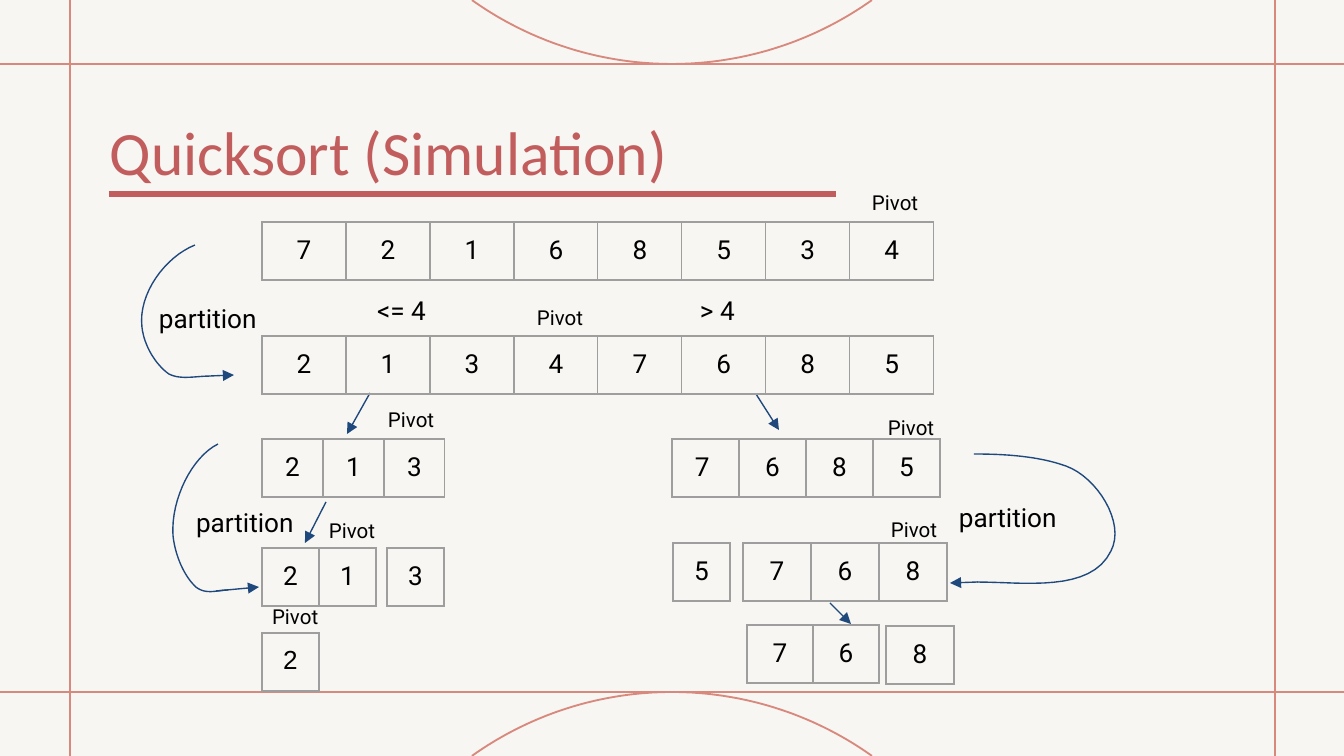
"""Build the quicksort simulation slide with its arrays, labels and arrows."""
from math import sqrt

from lxml import etree
from pptx import Presentation
from pptx.dml.color import RGBColor
from pptx.enum.shapes import MSO_CONNECTOR
from pptx.enum.text import MSO_ANCHOR, MSO_AUTO_SIZE, PP_ALIGN
from pptx.oxml.ns import qn
from pptx.util import Pt

PX = 6804
LEFT, CENTER = PP_ALIGN.LEFT, PP_ALIGN.CENTER
TOP, FIXED = MSO_ANCHOR.TOP, MSO_AUTO_SIZE.NONE
STRAIGHT = MSO_CONNECTOR.STRAIGHT
COLORS = {
    "paper": "F8F6F2",
    "frame": "D8897E",
    "title": "C25D5D",
    "grid": "9E9E9E",
    "arrow": "1F497D",
    "ink": "000000",
}
FRAME_FORMAT = {"word_wrap": True, "auto_size": FIXED, "vertical_anchor": TOP}
TABLE_FORMAT = {"first_row": False, "horz_banding": False}
SIDES = ("left", "right", "top", "bottom")


def write_text(frame, text, size, font="Roboto", color="ink", align=LEFT):
    para = frame.paragraphs[0]
    para.alignment = align
    span = para.add_run()
    span.text = text
    for name, value in {"size": Pt(size), "name": font, "bold": False}.items():
        setattr(span.font, name, value)
    span.font.color.rgb = RGBColor.from_string(COLORS[color])


def draw_path(page, points, color, width):
    points = [(round(x * PX), round(y * PX)) for x, y in points]
    builder = page.shapes.build_freeform(*points[0], scale=1.0)
    builder.add_line_segments(points[1:], close=False)
    outline = builder.convert_to_shape()
    outline.shadow.inherit = False
    outline.fill.background()
    outline.line.color.rgb = RGBColor.from_string(COLORS[color])
    outline.line.width = Pt(width)


deck = Presentation()
deck.slide_width, deck.slide_height = 1344 * PX, 756 * PX
page = deck.slides.add_slide(deck.slide_layouts[5])
page.background.fill.solid()
page.background.fill.fore_color.rgb = RGBColor.from_string(COLORS["paper"])

title = page.shapes.title
title_box = {"left": 110, "top": 114, "width": 737, "height": 75}
for name, value in title_box.items():
    setattr(title, name, value * PX)
for name, value in FRAME_FORMAT.items():
    setattr(title.text_frame, name, value)
for side in SIDES:
    setattr(title.text_frame, f"margin_{side}", 0)
write_text(title.text_frame, "Quicksort (Simulation)", 33, "Calibri", "title")

radius = 345
for edge, direction in ((64, -1), (692, 1)):
    arc = [
        (672 + dx, edge + direction * (radius - sqrt(radius**2 - dx**2)))
        for dx in range(-200, 201, 5)
    ]
    draw_path(page, arc, "frame", 1)

lines = [
    (0, 692, 1344, 692, "frame", 1),
    (0, 64, 1344, 64, "frame", 1),
    (1275, 756, 1275, 0, "frame", 1),
    (70, 756, 70, 0, "frame", 1),
    (109, 194, 836, 194, "title", 3),
    (210, 376, 234, 375, "arrow", 0.75),
    (370, 393, 347, 434, "arrow", 0.75),
    (756, 394, 779, 430, "arrow", 0.75),
    (216, 591, 259, 587, "arrow", 0.75),
    (326, 502, 305, 543, "arrow", 0.75),
    (978, 582, 950, 583, "arrow", 0.75),
    (830, 603, 851, 624, "arrow", 0.75),
]
for x1, y1, x2, y2, color, width in lines:
    line = page.shapes.add_connector(STRAIGHT, x1 * PX, y1 * PX, x2 * PX, y2 * PX)
    line.line.color.rgb = RGBColor.from_string(COLORS[color])
    line.line.width = Pt(width)
    if color == "arrow":
        etree.SubElement(line.line._get_or_add_ln(), qn("a:tailEnd"), type="triangle")
    etree.SubElement(line._element.spPr, qn("a:effectLst"))

partition_curves = [
    [(195, 245), (165, 257), (138, 294), (142, 327), (144, 345),
     (155, 364), (169, 374), (181, 380), (196, 376), (210, 376)],
    [(218, 444), (192, 457), (171, 499), (173, 535), (175, 555),
     (184, 576), (196, 587), (206, 595), (218, 590), (228, 590)],
    [(974, 454), (1005, 454), (1038, 456), (1066, 466), (1097, 477),
     (1126, 523), (1111, 551), (1091, 593), (1023, 582), (977, 582)],
]
for knots in partition_curves:
    curve = [knots[0]]
    for start in range(0, len(knots) - 1, 3):
        for step in range(1, 17):
            t = step / 16
            weights = ((1 - t)**3, 3 * t * (1 - t)**2, 3 * t**2 * (1 - t), t**3)
            pairs = list(zip(weights, knots[start:start + 4]))
            curve.append(tuple(sum(w * knot[axis] for w, knot in pairs) for axis in (0, 1)))
    draw_path(page, curve, "arrow", 0.75)

arrays = [
    (262, 222, 84, "72168534", "Roboto"),
    (262, 336, 84, "21347685", "Roboto"),
    (262, 439, 61, "213", "Roboto"),
    (672, 439, 67, ["7 ", "6", "8", "5"], "Roboto"),
    (262, 548, 57, "21", "Roboto"),
    (387, 548, 57, "3", "Roboto"),
    (262, 633, 57, "2", "Arial"),
    (743, 543, 68, "768", "Roboto"),
    (673, 543, 57, "5", "Roboto"),
    (747, 625, 66, "76", "Roboto"),
    (886, 626, 68, "8", "Roboto"),
]
for left, top, width, values, font in arrays:
    count = len(values)
    table = page.shapes.add_table(
        1, count, left * PX, top * PX, width * count * PX, 58 * PX
    ).table
    for name, value in TABLE_FORMAT.items():
        setattr(table, name, value)
    for column, value in enumerate(values):
        table.columns[column].width = width * PX
        cell = table.cell(0, column)
        for side in SIDES:
            setattr(cell, f"margin_{side}", 13 * PX)
        cell.fill.background()
        write_text(cell.text_frame, value, 14, font, align=CENTER)
        properties = cell._tc.get_or_add_tcPr()
        for position, side in enumerate(("lnL", "lnR", "lnT", "lnB")):
            border = etree.Element(qn(f"a:{side}"), w=str(Pt(0.75)))
            fill = etree.SubElement(border, qn("a:solidFill"))
            etree.SubElement(fill, qn("a:srgbClr"), val=COLORS["grid"])
            properties.insert(position, border)

labels = [
    ("Pivot", 859, 177, 148, 78, 11),
    ("Pivot", 875, 402, 118, 78, 11),
    ("Pivot", 375, 394, 329, 78, 11),
    ("Pivot", 259, 591, 97, 54, 11),
    ("Pivot", 316, 505, 76, 52, 11),
    ("Pivot", 524, 292, 76, 52, 11),
    ("Pivot", 878, 504, 76, 52, 11),
    ("partition", 146, 289, 128, 78, 14),
    ("partition", 183, 493, 148, 78, 14),
    ("partition", 946, 488, 128, 59, 14),
    ("<= 4", 364, 281, 297, 78, 14),
    ("> 4", 687, 281, 297, 78, 14),
]
for text, left, top, width, height, size in labels:
    box = page.shapes.add_textbox(left * PX, top * PX, width * PX, height * PX)
    for name, value in FRAME_FORMAT.items():
        setattr(box.text_frame, name, value)
    for side in SIDES:
        setattr(box.text_frame, f"margin_{side}", 13 * PX)
    write_text(box.text_frame, text, size)

deck.save("out.pptx")
